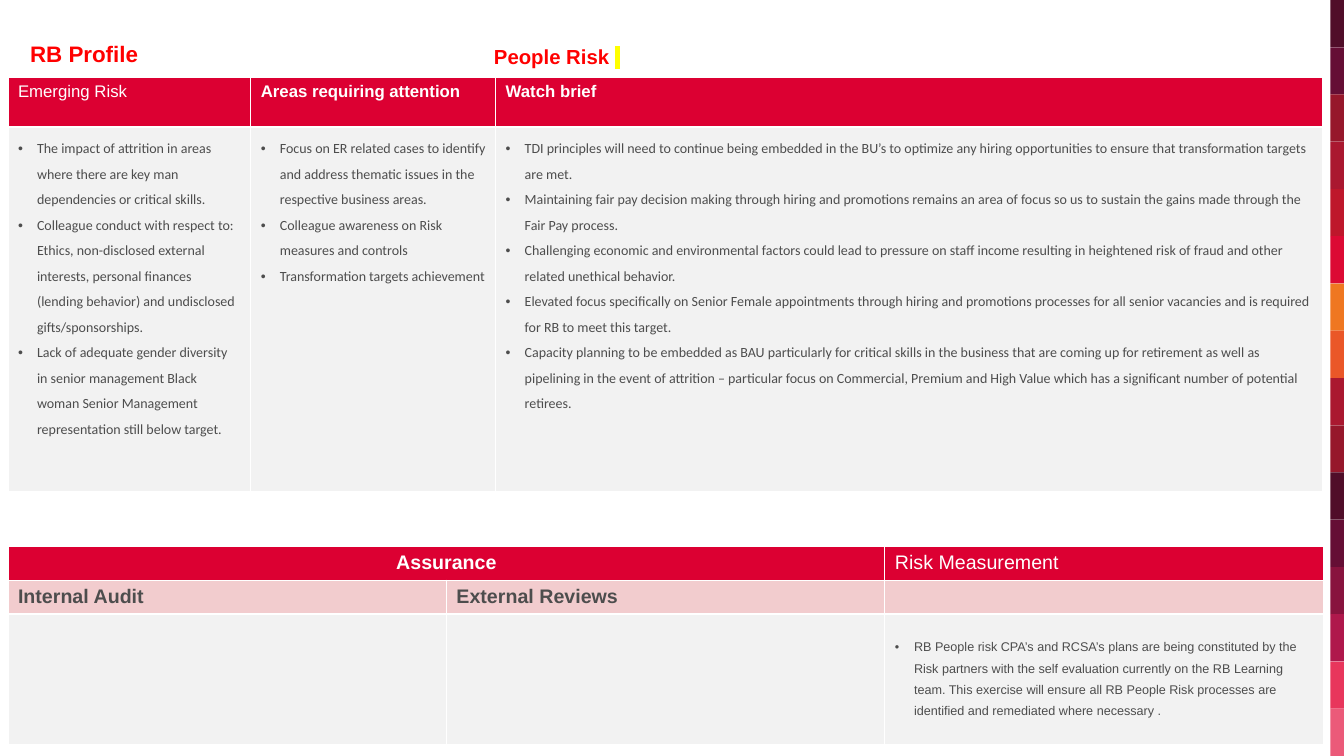
from lxml.etree import SubElement
from pptx import Presentation
from pptx.dml.color import RGBColor
from pptx.enum.shapes import MSO_SHAPE
from pptx.enum.text import PP_ALIGN
from pptx.oxml.ns import qn
from pptx.util import Cm, Pt

RED, PINK, GREY, WHITE, TEXT = "DC0032", "F2CCCE", "F2F2F2", "FFFFFF", "4D4D4D"
STRIP_COLOURS = [
    "500D29", "650E35", "96172B", "AA1830", "BE172B", "DC0A34", "EF7721", "EA5728",
    "AA1830", "96172B", "500D29", "650E35", "88133E", "AF184C", "E8365C", "EB5A79",
]
RISKS = {
    "Emerging Risk": [
        "The impact of attrition in areas where there are key man dependencies or critical skills.",
        "Colleague conduct with respect to: Ethics, non-disclosed external interests, personal "
        "finances (lending behavior) and undisclosed gifts/sponsorships.",
        "Lack of adequate gender diversity in senior management Black woman Senior Management "
        "representation still below target.",
    ],
    "Areas requiring attention": [
        "Focus on ER related cases to identify and address thematic issues in the respective "
        "business areas.",
        "Colleague awareness on Risk measures and controls",
        "Transformation targets achievement",
    ],
    "Watch brief": [
        "TDI principles will need to continue being embedded in the BU’s to optimize any hiring "
        "opportunities to ensure that transformation targets are met.",
        "Maintaining fair pay decision making through hiring and promotions remains an area of "
        "focus so us to sustain the gains made through the Fair Pay process.",
        "Challenging economic and environmental factors could lead to pressure on staff income "
        "resulting in heightened risk of fraud and other related unethical behavior.",
        "Elevated focus specifically on Senior Female appointments through hiring and promotions "
        "processes for all senior vacancies and is required for RB to meet this target.",
        "Capacity planning to be embedded as BAU particularly for critical skills in the business "
        "that are coming up for retirement as well as pipelining in the event of attrition – "
        "particular focus on Commercial, Premium and High Value which has a significant number of "
        "potential retirees.",
    ],
}
MEASUREMENT = (
    "RB People risk CPA’s and RCSA’s plans are being constituted by the Risk partners with the "
    "self evaluation currently on the RB Learning team. This exercise will ensure all RB People "
    "Risk processes are identified and remediated where necessary ."
)


def colour(hex_string):
    """Return the colour for a hex string."""
    return RGBColor.from_string(hex_string)


def format_runs(paragraph, size, hex_string, bold, font="Arial"):
    """Give every run of a paragraph its font."""
    for run in paragraph.runs:
        run.font.name = font
        run.font.size = Pt(size)
        run.font.bold = bold
        run.font.color.rgb = colour(hex_string)


def add_strip(slide, height):
    """Stack the coloured blocks down the right edge."""
    block_height = height / len(STRIP_COLOURS)
    for index, hex_string in enumerate(STRIP_COLOURS):
        block = slide.shapes.add_shape(
            MSO_SHAPE.RECTANGLE, Cm(33.53), Cm(index * block_height), Cm(0.34), Cm(block_height))
        block.shadow.inherit = False
        block.fill.solid()
        block.fill.fore_color.rgb = colour(hex_string)
        block.line.fill.background()


def add_heading(slide, text, left, top, width, height, size):
    """Add a red bold heading and return its paragraph."""
    box = slide.shapes.add_textbox(Cm(left), Cm(top), Cm(width), Cm(height))
    frame = box.text_frame
    frame.word_wrap = False
    frame.margin_left = frame.margin_right = frame.margin_top = frame.margin_bottom = 0
    frame.text = text
    format_runs(frame.paragraphs[0], size, "FF0000", True)
    return frame.paragraphs[0]


def add_highlighted_space(paragraph, size):
    """End a heading with a space highlighted in yellow."""
    run = paragraph.add_run()
    run.text = " "
    format_runs(paragraph, size, "FF0000", True)
    highlight = run.font.fill._xPr.makeelement(qn("a:highlight"))
    run.font.fill._xPr.find(qn("a:solidFill")).addnext(highlight)
    SubElement(highlight, qn("a:srgbClr"), val="FFFF00")


def add_table(slide, left, top, widths, heights):
    """Add a table with the given column widths and row heights."""
    frame = slide.shapes.add_table(
        len(heights), len(widths), Cm(left), Cm(top), Cm(sum(widths)), Cm(sum(heights)))
    table = frame.table
    for column, width in zip(table.columns, widths):
        column.width = Cm(width)
    for row, height in zip(table.rows, heights):
        row.height = Cm(height)
    return table


def style_cell(cell, fill):
    """Give a cell white borders and a fill."""
    properties = cell._tc.get_or_add_tcPr()
    for side in ("a:lnL", "a:lnR", "a:lnT", "a:lnB"):
        line = SubElement(properties, qn(side), w=str(Pt(1)))
        SubElement(SubElement(line, qn("a:solidFill")), qn("a:srgbClr"), val=WHITE)
    cell.fill.solid()
    cell.fill.fore_color.rgb = colour(fill)


def fill_label(cell, text, fill, size, hex_string=WHITE, bold=True):
    """Fill a cell with one label, which may be empty."""
    style_cell(cell, fill)
    paragraph = cell.text_frame.paragraphs[0]
    if text:
        paragraph.text = text
        format_runs(paragraph, size, hex_string, bold)
    else:
        SubElement(paragraph._p, qn("a:endParaRPr"), sz=str(size * 100))


def fill_bullets(cell, items, size, font):
    """Fill a cell with a bulleted list."""
    style_cell(cell, GREY)
    cell.text_frame.text = "\n".join(items)
    for paragraph in cell.text_frame.paragraphs:
        paragraph.line_spacing = 1.5
        format_runs(paragraph, size, TEXT, False, font)
        properties = paragraph._p.get_or_add_pPr()
        properties.set("marL", str(Cm(0.48)))
        properties.set("indent", str(-Cm(0.48)))
        SubElement(properties, qn("a:buFont"), typeface="Arial")
        SubElement(properties, qn("a:buChar"), char="•")


def add_risk_table(slide):
    """Add the table of risks by urgency."""
    table = add_table(slide, 0.2, 1.95, [6.12, 6.17, 20.85], [1.25, 9.2])
    for column, (title, items) in enumerate(RISKS.items()):
        fill_label(table.cell(0, column), title, RED, 12, bold=column > 0)
        fill_bullets(table.cell(1, column), items, 10, "Calibri")


def add_assurance_table(slide):
    """Add the table of assurance and risk measurement."""
    table = add_table(slide, 0.2, 13.77, [11.05] * 3, [0.85, 0.85, 3.3])
    for column, title in enumerate(["Assurance", "", "Risk Measurement"]):
        fill_label(table.cell(0, column), title, RED, 14, bold=column == 0)
    for column, title in enumerate(["Internal Audit", "External Reviews", ""]):
        fill_label(table.cell(1, column), title, PINK, 14, TEXT)
    for column in range(2):
        fill_label(table.cell(2, column), "", GREY, 14)
    table.cell(0, 0).merge(table.cell(0, 1))
    table.cell(0, 0).text_frame.paragraphs[0].alignment = PP_ALIGN.CENTER
    measurement = table.cell(2, 2)
    fill_bullets(measurement, [MEASUREMENT], 9, "Arial")
    measurement.margin_top = Cm(0.49)


def main():
    """Build and save the slide."""
    presentation = Presentation()
    presentation.slide_width, presentation.slide_height = Cm(33.87), Cm(19.05)
    slide = presentation.slides.add_slide(presentation.slide_layouts[6])
    add_strip(slide, 19.05)
    add_heading(slide, "RB Profile", 0.76, 1.02, 2.75, 0.65, 16)
    people_risk = add_heading(slide, "People Risk ", 12.45, 1.12, 3.23, 0.61, 14.5)
    add_highlighted_space(people_risk, 14.5)
    add_risk_table(slide)
    add_assurance_table(slide)
    presentation.save("out.pptx")


if __name__ == "__main__":
    main()
